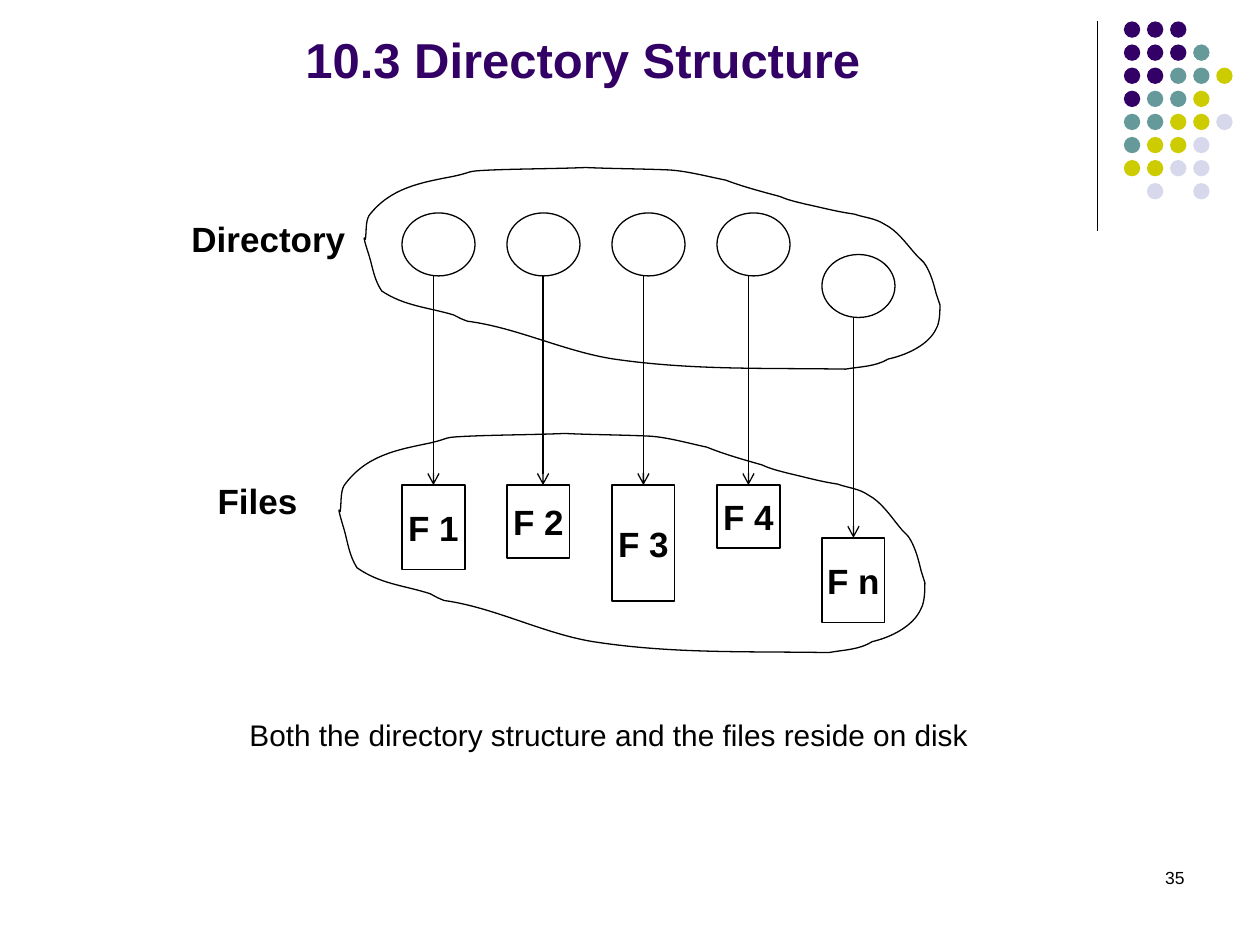
from lxml import etree
from pptx import Presentation
from pptx.dml.color import RGBColor
from pptx.enum.shapes import MSO_CONNECTOR, MSO_SHAPE
from pptx.enum.text import MSO_ANCHOR, MSO_AUTO_SIZE, PP_ALIGN
from pptx.oxml.ns import qn
from pptx.util import Inches, Pt

COLORS = {"ink": "000000", "paper": "FFFFFF", "purple": "330066",
          "teal": "669999", "lime": "CCCC00", "pale": "D8D8EC"}
RGB = {name: RGBColor.from_string(code) for name, code in COLORS.items()}

deck = Presentation()
deck.slide_width, deck.slide_height = Inches(10), Inches(7.5)
slide = deck.slides.add_slide(deck.slide_layouts[1])
shapes = slide.shapes


def write(shape, text, size, color="ink", bold=False, align=PP_ALIGN.CENTER,
          anchor=MSO_ANCHOR.MIDDLE, wrap=False, plain=False):
    frame = shape.text_frame
    frame.text = text
    frame.word_wrap = wrap
    frame.auto_size = MSO_AUTO_SIZE.NONE
    frame.vertical_anchor = anchor
    para = frame.paragraphs[0]
    para.alignment = align
    para.space_before = Pt(0)
    if plain:  # no bullet, no indent
        props = para._p.get_or_add_pPr()
        props.set("marL", "0")
        props.set("indent", "0")
        etree.SubElement(props, qn("a:buNone"))
    font = para.font
    font.name, font.size, font.bold = "Arial", Pt(size), bold
    font.color.rgb = RGB[color]


def draw(kind, left, top, width, height, fill="paper", edge=True):
    shape = shapes.add_shape(kind, Inches(left), Inches(top),
                             Inches(width), Inches(height))
    shape.shadow.inherit = False
    shape.fill.solid()
    shape.fill.fore_color.rgb = RGB[fill]
    if edge:
        shape.line.color.rgb = RGB["ink"]
        shape.line.width = Pt(0.75)
    else:
        shape.line.fill.background()
    return shape


# Corner dots: one letter per dot, a space leaves a gap
TONES = {"P": "purple", "T": "teal", "L": "lime", "W": "pale"}
DOTS = ["PPP", "PPPT", "PPTTL", "PTTL", "TTLLW", "TLLW", "LLWW", " W W"]
STEP = 0.55 / 3
for row, marks in enumerate(DOTS):
    for col, mark in enumerate(marks):
        if mark in TONES:
            draw(MSO_SHAPE.OVAL, 8.92 + col * STEP, 0.17 + row * STEP,
                 0.13, 0.13, TONES[mark], edge=False)

# Title and caption
title = shapes.title
title.left, title.top = Inches(0.5), Inches(0.13)
title.width, title.height = Inches(8.25), Inches(0.62)
write(title, "10.3 Directory Structure", 28, "purple", True,
      anchor=MSO_ANCHOR.BOTTOM, wrap=True)

body = slide.placeholders[1]
body.left, body.top = Inches(1.88), Inches(5.58)
body.width, body.height = Inches(6.5), Inches(0.5)
write(body, "Both the directory structure and the files reside on disk", 17,
      align=PP_ALIGN.LEFT, wrap=True, plain=True)

# Directory entries and files: name, drop of the column, file height, arrow x
FILES = [("F 1", 0, 0.67, 3.44), ("F 2", 0, 0.58, 4.31), ("F 3", 0, 0.92, 5.11),
         ("F 4", 0, 0.5, 5.94), ("F n", 0.33, 0.67, 6.78)]
links = [(8.71, 0.17, 1.83, None)]  # the rule beside the dots
for col, (name, drop, height, x) in enumerate(FILES):
    left = 3.19 + col * 2.5 / 3
    draw(MSO_SHAPE.OVAL, left, 1.69 + drop, 0.58, 0.5)
    top = 3.85 + drop * 1.27
    box = draw(MSO_SHAPE.RECTANGLE, left, top, 0.5, height)
    write(box, name, 20, bold=True)
    links.append((x, 2.19 + drop, top, box))

# Rule and arrows
for x, top, end, box in links:
    link = shapes.add_connector(MSO_CONNECTOR.STRAIGHT, Inches(x), Inches(top),
                                Inches(x), Inches(end))
    link.line.color.rgb = RGB["ink"]
    link.line.width = Pt(0.75)
    if box is not None:
        etree.SubElement(link.line._get_or_add_ln(), qn("a:tailEnd"), type="arrow")
        middle = box.left + box.width // 2
        if abs(middle - Inches(x)) < Inches(0.02):
            link.begin_x = middle
            link.end_connect(box, 0)
    etree.SubElement(link._element.spPr, qn("a:effectLst"))

# Cloud outlines: each curve holds two control points and an end point
START = (2.9, 1.9)
CURVES = [
    (2.91, 1.84, 2.9, 1.76, 2.93, 1.71), (3.1, 1.49, 3.34, 1.45, 3.6, 1.4),
    (3.78, 1.36, 3.68, 1.36, 3.9, 1.35), (4.15, 1.34, 4.4, 1.34, 4.65, 1.33),
    (4.87, 1.34, 5.1, 1.34, 5.32, 1.35), (5.46, 1.36, 5.61, 1.4, 5.76, 1.43),
    (5.89, 1.48, 6.04, 1.52, 6.19, 1.56), (6.26, 1.59, 6.31, 1.6, 6.39, 1.62),
    (6.53, 1.65, 6.64, 1.68, 6.78, 1.7), (6.87, 1.73, 6.94, 1.73, 7.02, 1.78),
    (7.12, 1.83, 7.19, 1.93, 7.26, 2.01), (7.29, 2.05, 7.33, 2.07, 7.35, 2.11),
    (7.39, 2.18, 7.41, 2.25, 7.43, 2.33), (7.44, 2.36, 7.46, 2.42, 7.46, 2.42),
    (7.46, 2.47, 7.46, 2.56, 7.43, 2.61), (7.37, 2.74, 7.19, 2.82, 7.05, 2.85),
    (6.95, 2.91, 6.83, 2.91, 6.71, 2.93), (6.07, 2.92, 5.49, 2.94, 4.87, 2.85),
    (4.48, 2.79, 4.1, 2.6, 3.71, 2.55), (3.69, 2.54, 3.68, 2.54, 3.66, 2.53),
    (3.64, 2.52, 3.62, 2.51, 3.6, 2.5), (3.4, 2.44, 3.21, 2.43, 3.03, 2.31),
    (2.97, 2.22, 2.96, 2.13, 2.93, 2.03), (2.93, 2.03, 2.89, 1.91, 2.89, 1.89),
    (2.89, 1.88, 2.9, 1.9, 2.9, 1.9)]
points = [START] + [pair for curve in CURVES
                    for pair in (curve[:2], curve[2:4], curve[4:])]

for left, top, width, height in [(2.89, 1.33, 4.58, 1.61), (2.69, 3.44, 4.66, 1.75)]:
    spots = [(Inches(left + (x - 2.89) * width / 4.58),
              Inches(top + (y - 1.33) * height / 1.61)) for x, y in points]
    pen = shapes.build_freeform(*spots[0])
    pen.add_line_segments(spots[3::3], close=True)
    cloud = pen.convert_to_shape()
    # Bend each straight segment with its two control points
    for turn, edge in enumerate(list(cloud._element.iter(qn("a:lnTo")))):
        edge.tag = qn("a:cubicBezTo")
        for place, (x, y) in enumerate(spots[3 * turn + 1:3 * turn + 3]):
            knot = etree.Element(qn("a:pt"), x=str(x - cloud.left), y=str(y - cloud.top))
            edge.insert(place, knot)
    cloud.shadow.inherit = False
    cloud.fill.background()
    cloud.line.color.rgb = RGB["ink"]
    cloud.line.width = Pt(0.75)

# Labels and page number
LABELS = [("Directory", 1.42, 1.67, 1.42, 0.44, 20, True, PP_ALIGN.CENTER),
          ("Files", 1.63, 3.75, 0.83, 0.44, 20, True, PP_ALIGN.CENTER),
          ("35", 7.17, 6.83, 2.33, 0.5, 10, False, PP_ALIGN.RIGHT)]
for text, left, top, width, height, size, bold, align in LABELS:
    label = shapes.add_textbox(Inches(left), Inches(top), Inches(width), Inches(height))
    page = text == "35"
    write(label, text, size, bold=bold, align=align, wrap=page,
          anchor=MSO_ANCHOR.TOP if page else MSO_ANCHOR.MIDDLE)

deck.save("out.pptx")
